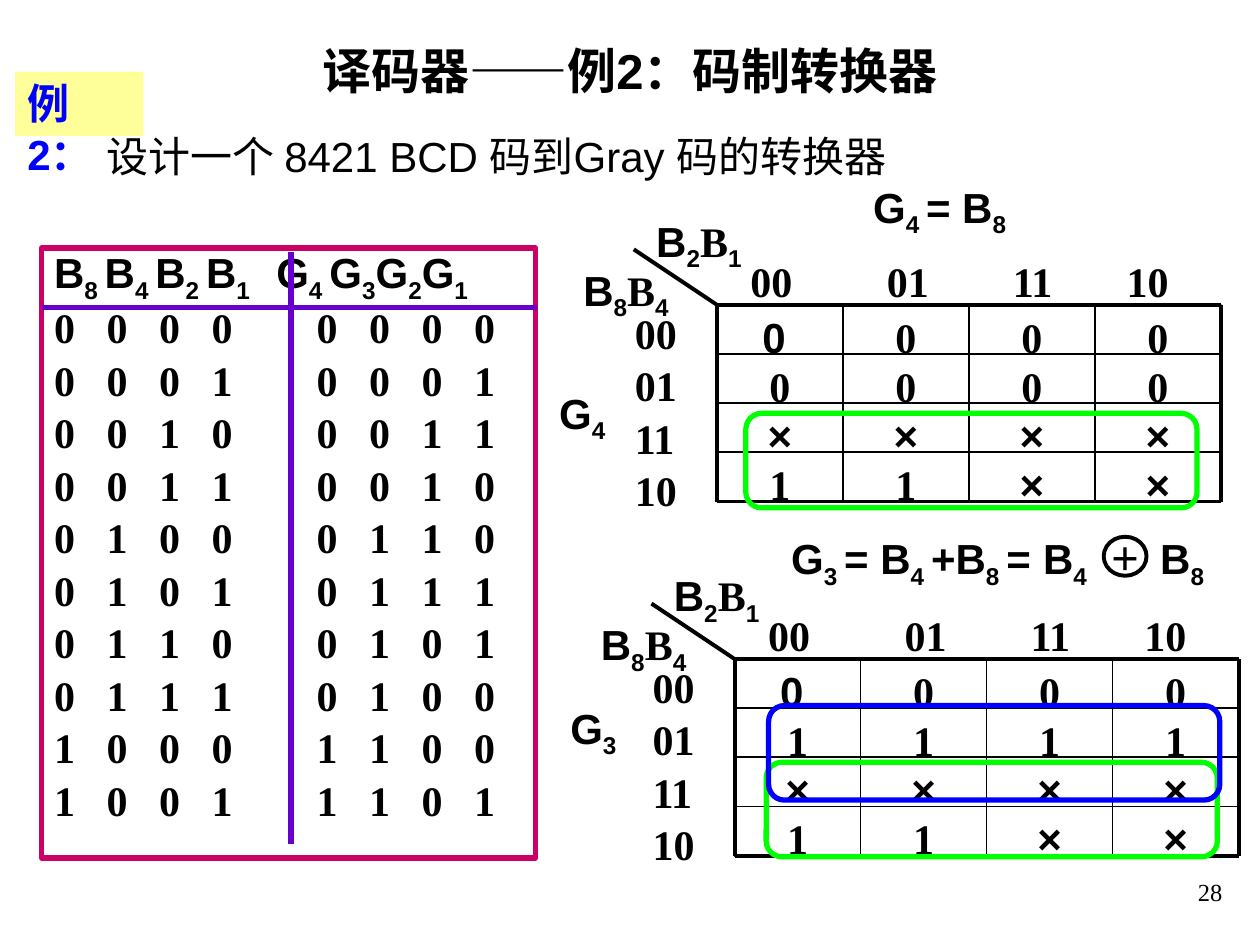
from pptx import Presentation
from pptx.dml.color import RGBColor
from pptx.enum.shapes import MSO_CONNECTOR, MSO_SHAPE
from pptx.enum.text import MSO_ANCHOR as Anchor, PP_ALIGN as Align
from pptx.oxml.ns import qn
from pptx.util import Pt
from lxml.etree import SubElement

SANS, SERIF = "Arial", "Times New Roman"
BLACK, WHITE = "000000", "FFFFFF"
GREEN, BLUE, PURPLE, PINK = "00FF00", "0000FF", "6600CC", "CC0066"

TITLE = "译码器——例2：码制转换器"
BADGE = "例2："
TASK = "设计一个 8421 BCD 码到Gray 码的转换器"
PAGE_NUMBER = "28"

TRUTH_HEADER = "B_8 B_4 B_2 B_1\tG_4 G_3G_2G_1"
TRUTH_ROWS = [
    "00000000", "00010001", "00100011", "00110010", "01000110",
    "01010111", "01100101", "01110100", "10001100", "10011101",
]
TRUTH_TABS = [30, 60, 90, 150, 180, 210, 240]

GRAY_ORDER = ["00", "01", "11", "10"]
COLUMN_TABS = [12, 90, 162, 227]
CELL_WIDTH, CELL_HEIGHT = 72, 28.1
MAPS = [
    {"origin": (409.7, 174.2), "rows": ["0000", "0000", "××××", "11××"]},
    {"origin": (419.8, 376.6), "rows": ["0000", "1111", "××××", "11××"]},
]
LOOPS = [
    (426.2, 236.2, GREEN),
    (437.8, 435.6, GREEN),
    (439.2, 403.2, BLUE),
]
EQUATIONS = [
    ("G_4 = B_8", 491.8, 100.1, 120),
    ("G_3 = B_4 +B_8 =", 445, 301, 168),
    ("B_4", 589, 301, 42),
    ("B_8", 655.9, 301, 42),
]
MAP_NAMES = [("G_4", 311.8, 219.6), ("G_3", 318.2, 399.6)]


def color(value):
    return RGBColor.from_string(value)


def style_shape(shape, fill=None, line=None, width=1):
    shape.shadow.inherit = False
    if fill:
        shape.fill.solid()
        shape.fill.fore_color.rgb = color(fill)
    else:
        shape.fill.background()
    if line:
        shape.line.color.rgb = color(line)
        shape.line.width = Pt(width)
    else:
        shape.line.fill.background()


def add_shape(kind, left, top, width, height, fill=None, line=None, weight=1):
    shape = slide.shapes.add_shape(kind, Pt(left), Pt(top), Pt(width), Pt(height))
    style_shape(shape, fill, line, weight)
    return shape


def add_line(x1, y1, x2, y2, value=BLACK, width=2.25):
    line = slide.shapes.add_connector(
        MSO_CONNECTOR.STRAIGHT, Pt(x1), Pt(y1), Pt(x2), Pt(y2))
    line.line.color.rgb = color(value)
    line.line.width = Pt(width)
    SubElement(line._element.spPr, qn("a:effectLst"))


def add_run(paragraph, text, subscript=False):
    if text:
        run = paragraph.add_run()
        run.text = text
        if subscript:
            run._r.get_or_add_rPr().set("baseline", "-25000")


def fill_paragraph(paragraph, text, font=SANS, size=24, bold=True,
                   value=BLACK, align=Align.LEFT, spacing=None, tabs=()):
    first, *pieces = text.split("_")
    add_run(paragraph, first)
    for piece in pieces:
        end = 2 if piece[1:2] == " " else 1
        add_run(paragraph, piece[:end], True)
        add_run(paragraph, piece[end:])
    paragraph.alignment = align
    if spacing:
        paragraph.line_spacing = spacing
    if tabs:
        tab_list = SubElement(paragraph._p.get_or_add_pPr(), qn("a:tabLst"))
        for position in tabs:
            SubElement(tab_list, qn("a:tab"), pos=str(Pt(position)), algn="l")
    paragraph.font.name = font
    paragraph.font.size = Pt(size)
    paragraph.font.bold = bold
    paragraph.font.color.rgb = color(value)


def fill_text(shape, lines, anchor=Anchor.TOP, wrap=True, **style):
    frame = shape.text_frame
    frame.word_wrap = wrap
    frame.vertical_anchor = anchor
    for index, text in enumerate(lines):
        paragraph = frame.add_paragraph() if index else frame.paragraphs[0]
        fill_paragraph(paragraph, text, **style)
        if index:
            paragraph.space_before = Pt(12.7)


def add_text(lines, left, top, width, height, **style):
    box = slide.shapes.add_textbox(Pt(left), Pt(top), Pt(width), Pt(height))
    fill_text(box, lines, **style)
    return box


def add_truth_table():
    box = add_shape(MSO_SHAPE.RECTANGLE, 23.8, 141.8, 282.2, 348.5, WHITE, PINK, 3)
    fill_text(box, [TRUTH_HEADER], spacing=0.75, tabs=[127])
    for row in TRUTH_ROWS:
        paragraph = box.text_frame.add_paragraph()
        paragraph.space_before = Pt(12.7)
        fill_paragraph(paragraph, "\t".join(row), font=SERIF, spacing=0.6,
                       tabs=TRUTH_TABS)
    add_line(166.3, 144, 166.3, 482.4, PURPLE, 3)
    add_line(23.8, 175.7, 306.7, 175.7, PURPLE, 3)


def add_map(origin, rows):
    left, top = origin
    right, bottom = left + 4 * CELL_WIDTH, top + 4 * CELL_HEIGHT
    add_text(["\t" + "\t".join(GRAY_ORDER)], left, top - 31.7, 282, 36,
             font=SERIF, tabs=COLUMN_TABS)
    for row, values in enumerate(rows):
        for column, value in enumerate(values):
            cell = add_shape(MSO_SHAPE.RECTANGLE, left + column * CELL_WIDTH,
                             top + row * CELL_HEIGHT, CELL_WIDTH, CELL_HEIGHT,
                             line=BLACK)
            corner = row == column == 0
            fill_text(cell, [value + " " if corner else value], align=Align.CENTER,
                      font=SANS if corner or value == "×" else SERIF)
    add_line(left, top, right, top)
    add_line(left, bottom, right, bottom)
    add_line(left, top, left, bottom)
    add_line(right, top, right, bottom)
    add_line(left, top, left - 47.5, top - 31.7)
    add_text(GRAY_ORDER, left - 54, top + 7.9, 58, 120, font=SERIF, spacing=0.6)
    for label, dx, dy in [("B_8B_4", -83.5, -26.6), ("B_2B_1", -41.8, -54.7)]:
        box = add_text([label], left + dx, top + dy, 84, 36)
        box.text_frame.paragraphs[0].runs[2].font.name = SERIF


presentation = Presentation()
presentation.slide_width, presentation.slide_height = Pt(720), Pt(540)
slide = presentation.slides.add_slide(presentation.slide_layouts[6])

add_text([TASK], 54, 71.3, 680.4, 36.7, bold=False)
add_truth_table()
for karnaugh_map in MAPS:
    add_map(**karnaugh_map)
for left, top, value in LOOPS:
    add_shape(MSO_SHAPE.ROUNDED_RECTANGLE, left, top, 257.8, 54, line=value, weight=3)
for text, left, top, width in EQUATIONS:
    add_text([text], left, top, width, 36)

xor = add_shape(MSO_SHAPE.OVAL, 630.7, 306.7, 24.5, 22.3, line=BLACK, weight=2.25)
fill_text(xor, ["+"], Anchor.MIDDLE, False, font=SERIF, size=28, align=Align.CENTER)
for text, left, top in MAP_NAMES:
    name = add_shape(MSO_SHAPE.OVAL, left, top, 41.8, 36, WHITE, WHITE, 0.75)
    fill_text(name, [text], Anchor.MIDDLE, False, align=Align.CENTER)

add_text([PAGE_NUMBER], 555.8, 491.8, 149.8, 36, anchor=Anchor.MIDDLE,
         font=SERIF, size=14, bold=False, align=Align.RIGHT)
badge = add_shape(MSO_SHAPE.RECTANGLE, 8.6, 41, 73.4, 36.7, "FFFF99")
fill_text(badge, [BADGE], value=BLUE)
add_text([TITLE], 0, 19.4, 720, 41, size=28, align=Align.CENTER)

presentation.save("out.pptx")
